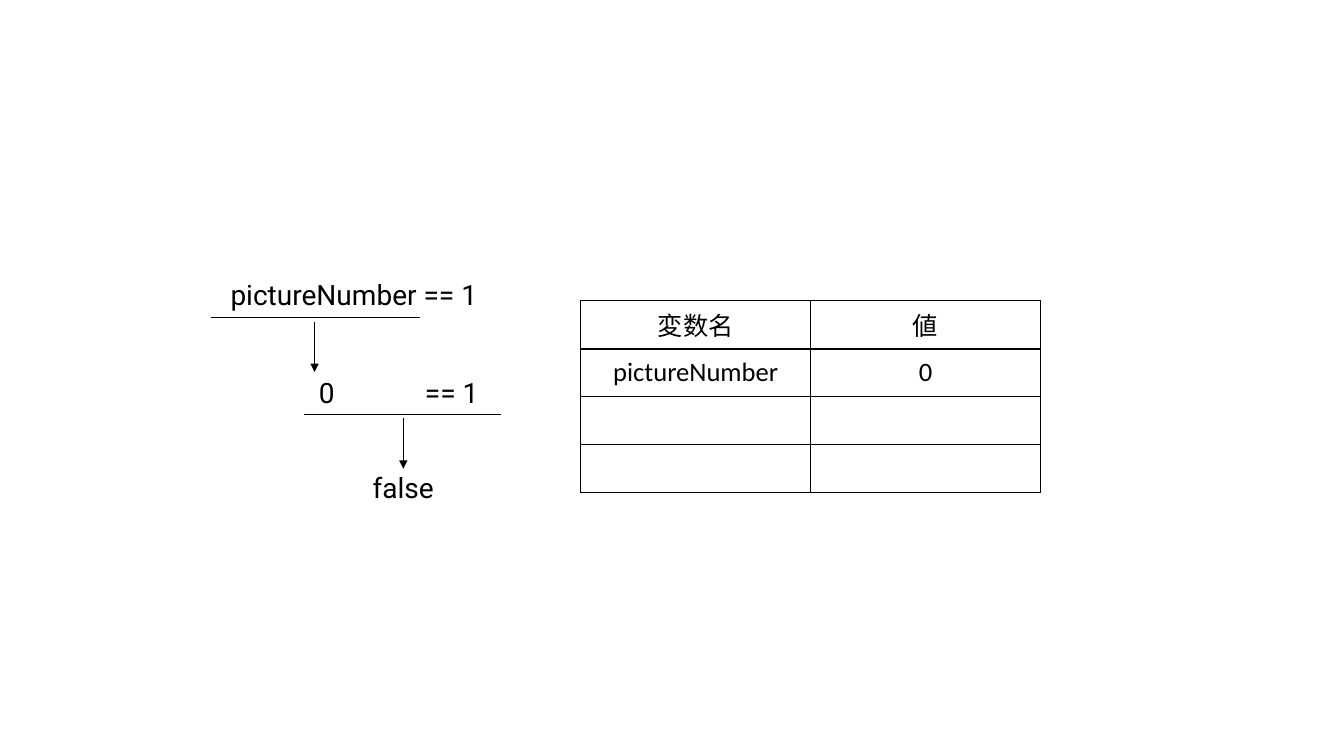
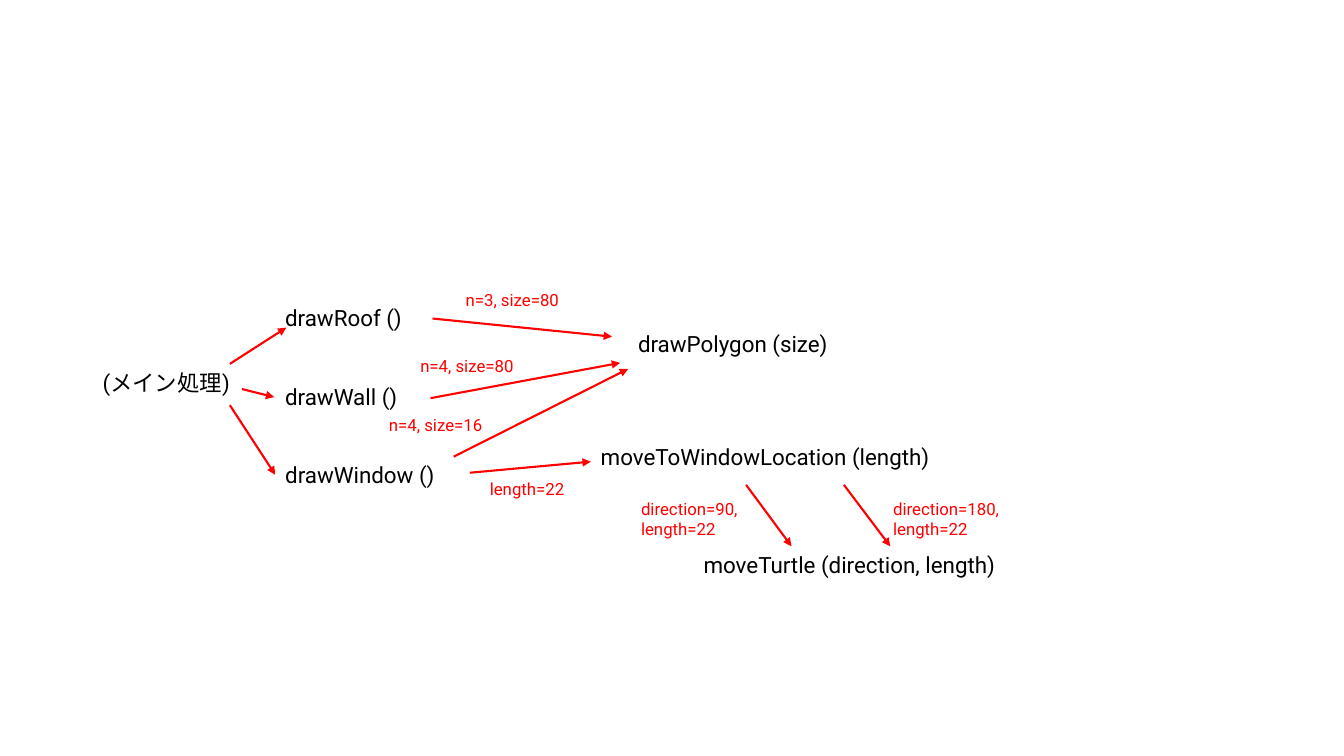
from pptx import Presentation
from pptx.dml.color import RGBColor
from pptx.enum.shapes import MSO_CONNECTOR
from pptx.enum.text import MSO_ANCHOR, MSO_AUTO_SIZE, PP_ALIGN
from pptx.oxml.ns import qn
from pptx.util import Inches, Pt
from lxml.etree import Element, SubElement

BLACK = RGBColor(0x00, 0x00, 0x00)
RED = RGBColor(0xFF, 0x00, 0x00)
DIAGRAM_FONT, TABLE_FONT = "Roboto", "Calibri"
BLANK_LAYOUT = 6


class Deck:
    """Holds the shared style and the slide being built."""

    def __init__(self):
        self.prs = Presentation()
        self.prs.slide_width, self.prs.slide_height = Inches(13.33), Inches(7.5)
        self.slide = None

    def new_slide(self):
        layout = self.prs.slide_layouts[BLANK_LAYOUT]
        self.slide = self.prs.slides.add_slide(layout)

    def style(self, paragraph, font, size, color, align):
        paragraph.alignment = align
        paragraph.font.name = font
        paragraph.font.size = Pt(size)
        paragraph.font.color.rgb = color

    def text(self, left, top, width, height, lines, size, color=BLACK,
             align=PP_ALIGN.LEFT, wrap=True):
        box = self.slide.shapes.add_textbox(
            Inches(left), Inches(top), Inches(width), Inches(height))
        frame = box.text_frame
        frame.word_wrap = wrap
        frame.auto_size = MSO_AUTO_SIZE.SHAPE_TO_FIT_TEXT
        frame.text = lines
        for paragraph in frame.paragraphs:
            self.style(paragraph, DIAGRAM_FONT, size, color, align)

    def line(self, start, end, color=BLACK, weight=1, arrow=False):
        connector = self.slide.shapes.add_connector(
            MSO_CONNECTOR.STRAIGHT, *map(Inches, start + end))
        connector.line.color.rgb = color
        connector.line.width = Pt(weight)
        if arrow:
            SubElement(connector.line._get_or_add_ln(), qn("a:tailEnd"), type="triangle")
        SubElement(connector._element.spPr, qn("a:effectLst"))

    def border(self, cell):
        properties = cell._tc.get_or_add_tcPr()
        for position, side in enumerate(("a:lnL", "a:lnR", "a:lnT", "a:lnB")):
            edge = Element(qn(side), w=str(Pt(1)))
            fill = SubElement(edge, qn("a:solidFill"))
            SubElement(fill, qn("a:srgbClr"), val=str(BLACK))
            properties.insert(position, edge)

    def table(self, left, top, column_width, row_height, rows, sizes):
        columns = len(rows[0])
        table = self.slide.shapes.add_table(
            len(rows), columns, Inches(left), Inches(top),
            Inches(column_width * columns), Inches(row_height * len(rows))).table
        table.first_row = table.horz_banding = False
        for r, (row, size) in enumerate(zip(rows, sizes)):
            table.rows[r].height = Inches(row_height)
            for c, value in enumerate(row):
                cell = table.cell(r, c)
                cell.fill.background()
                self.border(cell)
                cell.vertical_anchor = MSO_ANCHOR.MIDDLE
                cell.margin_left = cell.margin_right = Inches(0.11)
                cell.margin_top = cell.margin_bottom = Inches(0.06)
                cell.text = value
                self.style(cell.text_frame.paragraphs[0], TABLE_FONT, size, BLACK,
                           PP_ALIGN.CENTER)


deck = Deck()

# Slide 1: evaluating a comparison, beside the variable table
deck.new_slide()
deck.table(5.76, 2.98, 2.28, 0.475,
           [("変数名", "値"), ("pictureNumber", "0"), ("", ""), ("", "")],
           [18, 19, 18, 18])
for left, top, width, term in (
        (2.05, 2.7, 2.92, "pictureNumber == 1"),
        (2.94, 3.68, 0.6, "0"),
        (4.08, 3.68, 0.8, "== 1"),
        (3.58, 4.62, 0.84, "false")):
    deck.text(left, top, width, 0.44, term, 20, align=PP_ALIGN.CENTER, wrap=False)

# Each underlined expression points down to its value
for left, right, underline_y, arrow_x in ((2.09, 4.17, 3.15, 3.12),
                                          (3.02, 4.97, 4.11, 4.0)):
    deck.line((left, underline_y), (right, underline_y))
    deck.line((arrow_x, underline_y + 0.04), (arrow_x, underline_y + 0.54), arrow=True)

# Slide 2: call graph of the drawing functions
deck.new_slide()
calls = [
    ((4.29, 3.16), (6.07, 3.34)),  # drawRoof to drawPolygon
    ((4.27, 3.95), (6.15, 3.6)),   # drawWall to drawPolygon
    ((4.5, 4.53), (6.23, 3.66)),   # drawWindow to drawPolygon
    ((2.28, 3.61), (2.84, 3.25)),  # main to drawRoof
    ((2.4, 3.86), (2.72, 3.94)),   # main to drawWall
    ((2.28, 4.02), (2.73, 4.71)),  # main to drawWindow
    ((4.66, 4.69), (5.86, 4.58)),  # drawWindow to moveToWindowLocation
    ((7.4, 4.81), (7.85, 5.42)),   # moveToWindowLocation to moveTurtle
    ((8.37, 4.81), (8.83, 5.42)),
]
for caller, callee in calls:
    deck.line(caller, callee, RED, 1.5, arrow=True)

functions = [
    (0.92, 3.61, 2.1, "(メイン処理)"),
    (2.73, 2.97, 1.8, "drawRoof ()"),
    (2.73, 3.75, 1.8, "drawWall ()"),
    (2.73, 4.53, 2.08, "drawWindow ()"),
    (6.23, 3.23, 2.54, "drawPolygon (size)"),
    (5.86, 4.35, 3.98, "moveToWindowLocation (length)"),
    (6.88, 5.42, 3.98, "moveTurtle (direction, length)"),
]
for left, top, width, signature in functions:
    deck.text(left, top, width, 0.37, signature, 16)

# Arguments passed along the arrows
arguments = [
    (4.52, 2.83, "n=3, size=80"),
    (4.07, 3.48, "n=4, size=80"),
    (3.76, 4.07, "n=4, size=16"),
    (4.76, 4.7, "length=22"),
    (6.26, 4.9, "direction=90,\nlength=22"),
    (8.76, 4.9, "direction=180,\nlength=22"),
]
for left, top, values in arguments:
    height = 0.5 if "\n" in values else 0.3
    deck.text(left, top, 1.8, height, values, 12, RED)

deck.prs.save("out.pptx")
